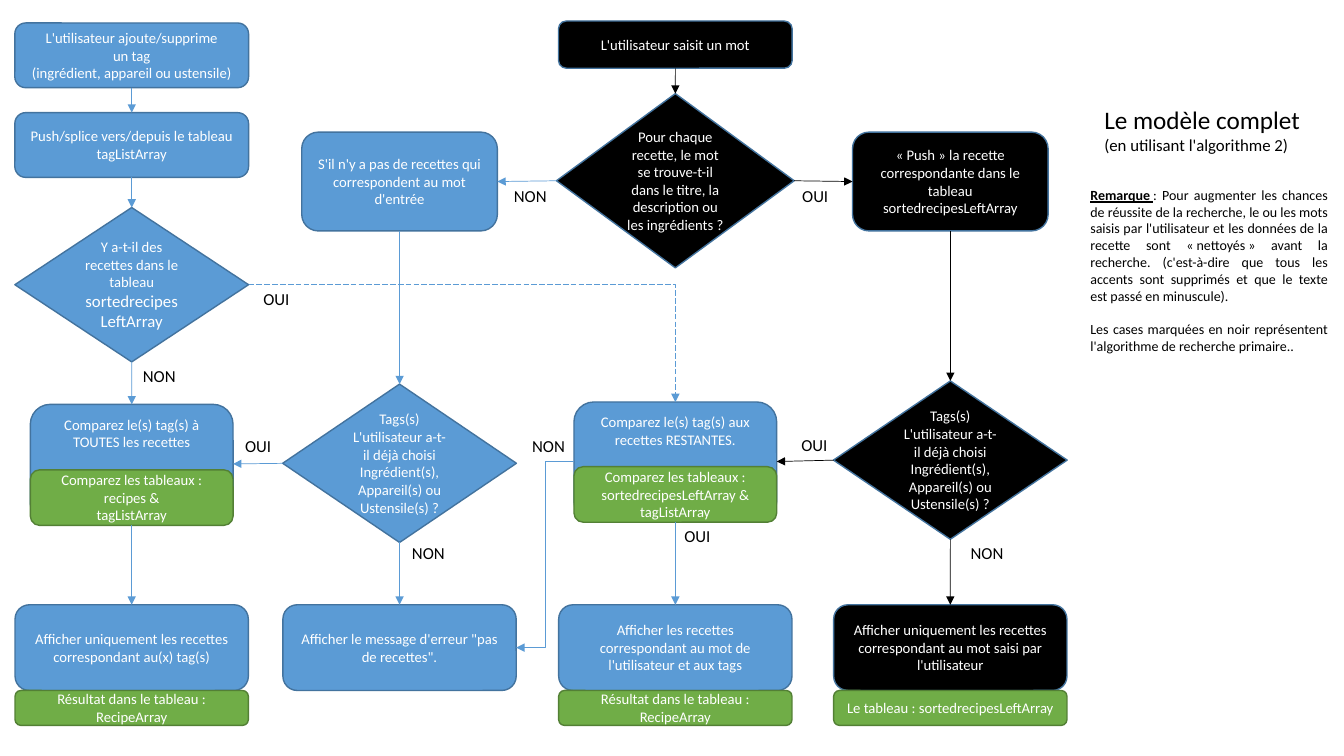
from lxml import etree
from pptx import Presentation
from pptx.dml.color import RGBColor
from pptx.enum.dml import MSO_LINE
from pptx.enum.shapes import MSO_CONNECTOR, MSO_SHAPE
from pptx.enum.text import MSO_ANCHOR, PP_ALIGN
from pptx.oxml.ns import qn
from pptx.util import Cm, Pt

ROUND, DIAMOND = MSO_SHAPE.ROUNDED_RECTANGLE, MSO_SHAPE.DIAMOND
STRAIGHT, ELBOW = MSO_CONNECTOR.STRAIGHT, MSO_CONNECTOR.ELBOW
LEFT, CENTER, JUSTIFY = PP_ALIGN.LEFT, PP_ALIGN.CENTER, PP_ALIGN.JUSTIFY
MIDDLE, TOP = MSO_ANCHOR.MIDDLE, MSO_ANCHOR.TOP
DASH = MSO_LINE.LONG_DASH
FONT = "Calibri"
BLACK, BLUE, GREEN, WHITE = "000000", "5B9BD5", "70AD47", "FFFFFF"
EDGES = {BLACK: "43739E", BLUE: "43739E", GREEN: "538035"}
SITES = {"top": 0, "left": 1, "bottom": 2, "right": 3}

# Centre of each column, in cm
COLS = {"A": 3.32, "B": 10.07, "C": 17.02, "D": 23.95}

# Kind of box: preset shape, width, height, bottom margin
KINDS = {
    "start": (ROUND, 5.89, 1.19, 0.13),
    "step": (ROUND, 5.89, 1.63, 0.13),
    "case": (ROUND, 4.93, 2.49, 0.13),
    "compare": (ROUND, 5.11, 3, 1.68),
    "arrays": (ROUND, 5.11, 1.4, 0.13),
    "result": (ROUND, 5.88, 2.16, 0.13),
    "store": (ROUND, 5.88, 0.88, 0.13),
    "word test": (DIAMOND, 5.99, 4.39, 0.13),
    "array test": (DIAMOND, 5.89, 3.89, 0.13),
    "tag test": (DIAMOND, 5.89, 3.99, 0.13),
}

TAGS = ["Tags(s)", "L'utilisateur a-t-il déjà choisi",
        "Ingrédient(s), Appareil(s) ou Ustensile(s) ?"]
STORED = ["Résultat dans le tableau : RecipeArray"]

# Name: kind, column, top, fill, paragraphs
BOXES = {
    "add tag": ("step", "A", 0.58, BLUE, [
        "L'utilisateur ajoute/supprime", "un tag",
        "(ingrédient, appareil ou ustensile)"]),
    "splice": ("step", "A", 2.84, BLUE, [
        "Push/splice vers/depuis le tableau tagListArray"]),
    "left?": ("array test", "A", 5.23, BLUE, [
        [("Y a-t-il des recettes dans le tableau ", 10.5),
         ("sortedrecipesLeftArray", 12)]]),
    "all": ("compare", "A", 10.19, BLUE, [
        "Comparez le(s) tag(s) à TOUTES les recettes"]),
    "all arrays": ("arrays", "A", 11.84, GREEN, [
        "Comparez les tableaux : recipes &", "tagListArray"]),
    "by tag": ("result", "A", 15.24, BLUE, [
        "Afficher uniquement les recettes correspondant au(x) tag(s)"]),
    "tag store": ("store", "A", 17.4, GREEN, STORED),
    "no match": ("case", "B", 3.33, BLUE, [
        "S'il n'y a pas de recettes qui correspondent au mot d'entrée"]),
    "tags B?": ("tag test", "B", 9.68, BLUE, TAGS),
    "error": ("result", "B", 15.24, BLUE, [
        "Afficher le message d'erreur \"pas de recettes\"."]),
    "type word": ("start", "C", 0.53, BLACK, ["L'utilisateur saisit un mot"]),
    "found?": ("word test", "C", 2.36, BLACK, [
        "Pour chaque recette, le mot se trouve-t-il dans le titre, "
        "la description ou les ingrédients ?"]),
    "rest": ("compare", "C", 10.13, BLUE, [
        "Comparez le(s) tag(s) aux recettes RESTANTES."]),
    "rest arrays": ("arrays", "C", 11.76, GREEN, [
        "Comparez les tableaux : sortedrecipesLeftArray &", "tagListArray"]),
    "by both": ("result", "C", 15.24, BLUE, [
        "Afficher les recettes correspondant au mot de l'utilisateur "
        "et aux tags"]),
    "both store": ("store", "C", 17.4, GREEN, STORED),
    "push": ("case", "D", 3.33, BLACK, [
        "«\u00a0Push\u00a0»\u00a0la recette correspondante dans le tableau "
        "sortedrecipesLeftArray"]),
    "tags D?": ("tag test", "D", 9.6, BLACK, TAGS),
    "by word": ("result", "D", 15.24, BLACK, [
        "Afficher uniquement les recettes correspondant au mot saisi par "
        "l'utilisateur"]),
    "word store": ("store", "D", 17.4, GREEN, [
        "Le tableau : sortedrecipesLeftArray"]),
}

# From, side, to, side, colour
ARROWS = [
    ("add tag", "bottom", "splice", "top", BLUE),
    ("splice", "bottom", "left?", "top", BLUE),
    ("left?", "bottom", "all", "top", BLUE),
    ("all arrays", "bottom", "by tag", "top", BLUE),
    ("no match", "bottom", "tags B?", "top", BLUE),
    ("tags B?", "left", "all", "right", BLUE),
    ("tags B?", "bottom", "error", "top", BLUE),
    ("type word", "bottom", "found?", "top", BLACK),
    ("found?", "left", "no match", "right", BLUE),
    ("found?", "right", "push", "left", BLACK),
    ("rest arrays", "bottom", "by both", "top", BLUE),
    ("push", "bottom", "tags D?", "top", BLACK),
    ("tags D?", "left", "rest", "right", BLACK),
    ("tags D?", "bottom", "by word", "top", BLACK),
]

# Word, left and top of each answer
WIDTHS = {"OUI": 1.17, "NON": 1.43}
ANSWERS = [
    ("OUI", 6.38, 7.16), ("OUI", 5.92, 10.85), ("OUI", 16.99, 13.13),
    ("OUI", 19.96, 4.55), ("OUI", 19.94, 10.82),
    ("NON", 3.3, 9.09), ("NON", 10.08, 13.56), ("NON", 12.65, 4.55),
    ("NON", 13.11, 10.85), ("NON", 24.16, 13.54),
]

TITLE = [[("Le modèle complet", 18)], [("(en utilisant l'algorithme 2)", 12)]]
REMARK = [
    [("Remarque\u00a0", 10, True),
     (": Pour augmenter les chances de réussite de la recherche, le ou les "
      "mots saisis par l'utilisateur et les données de la recette sont "
      "«\u00a0nettoyés\u00a0» avant la recherche. (c'est-à-dire que tous les "
      "accents sont supprimés et que le texte est passé en minuscule).", 10)],
    [("Les cases marquées en noir représentent l'algorithme de recherche "
      "primaire..", 10)],
]


def paint(hue):
    """Turn a hex string into a colour."""
    return RGBColor.from_string(hue)


def write(shape, paras, hue, align, anchor, gap=0):
    """Fill a shape with paragraphs, run by run."""
    frame = shape.text_frame
    frame.word_wrap, frame.vertical_anchor = True, anchor
    for i, runs in enumerate(paras):
        para = frame.add_paragraph() if i else frame.paragraphs[0]
        para.alignment = align
        if i and gap:
            para.space_before = Pt(gap)
        if isinstance(runs, str):
            runs = [(runs, 10.5)]
        for text, size, *mark in runs:
            run = para.add_run()
            run.text = text
            font = run.font
            font.name, font.size = FONT, Pt(size)
            font.color.rgb = paint(hue)
            if mark:
                font.bold = font.underline = True


def add_box(kind, col, top, fill, paras):
    """Draw one box centred on its column."""
    form, wide, high, foot = KINDS[kind]
    box = shapes.add_shape(form, Cm(COLS[col] - wide / 2), Cm(top),
                           Cm(wide), Cm(high))
    box.shadow.inherit = False
    box.fill.solid()
    box.fill.fore_color.rgb = paint(fill)
    box.line.color.rgb = paint(EDGES[fill])
    box.line.width = Pt(1)
    box.text_frame.margin_bottom = Cm(foot)
    write(box, paras, WHITE, CENTER, MIDDLE)
    return box


def add_note(left, top, wide, high, paras, align, gap=0):
    """Add a black text box."""
    note = shapes.add_textbox(Cm(left), Cm(top), Cm(wide), Cm(high))
    write(note, paras, BLACK, align, TOP, gap)
    return note


def add_arrow(start, exit, end, entry, hue, form=STRAIGHT):
    """Join two boxes with an arrow."""
    link = shapes.add_connector(form, 0, 0, 0, 0)
    link.begin_connect(drawn[start], SITES[exit])
    link.end_connect(drawn[end], SITES[entry])
    link.line.color.rgb = paint(hue)
    link.line.width = Pt(0.5)
    etree.SubElement(link.line._get_or_add_ln(), qn("a:tailEnd"),
                     type="triangle")
    etree.SubElement(link._element.spPr, qn("a:effectLst"))
    return link


deck = Presentation()
deck.slide_width, deck.slide_height = Cm(33.87), Cm(19.05)
shapes = deck.slides.add_slide(deck.slide_layouts[6]).shapes

drawn = {name: add_box(*data) for name, data in BOXES.items()}
for data in ARROWS:
    add_arrow(*data)
add_arrow("rest", "left", "error", "right", BLUE, ELBOW)
bend = add_arrow("left?", "right", "rest", "top", BLUE, ELBOW)
bend.line.dash_style = DASH
bend._element.spPr.find(qn("a:prstGeom")).set("prst", "bentConnector2")

for word, left, top in ANSWERS:
    label = add_note(left, top, WIDTHS[word], 0.77, [[(word, 12)]], CENTER)
    label.text_frame.word_wrap = False
add_note(27.58, 2.51, 6.1, 1.55, TITLE, LEFT)
add_note(27.23, 4.57, 6.48, 4.95, REMARK, JUSTIFY, 12)

deck.save("out.pptx")
